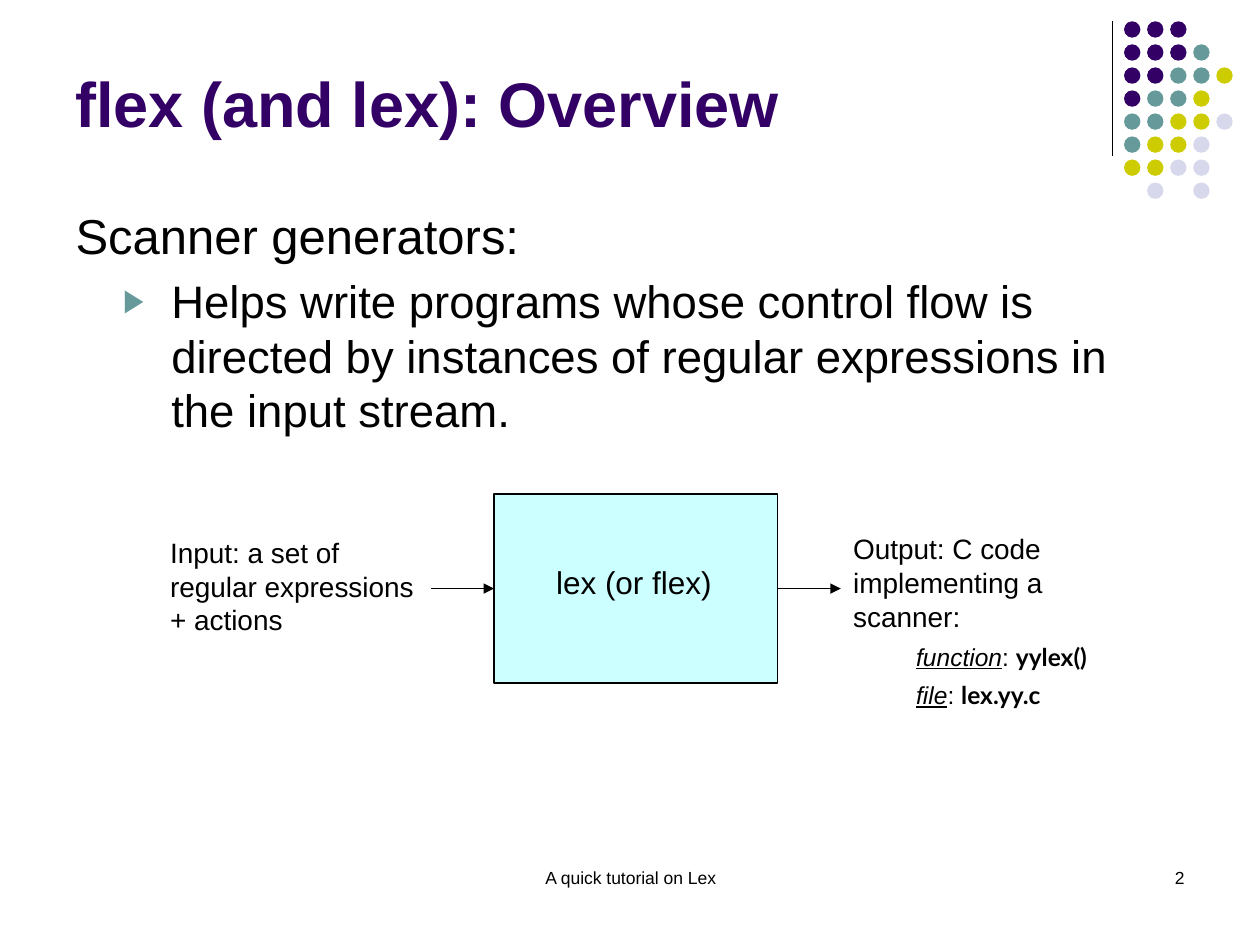
import dataclasses
import pptx
import pptx.util
import pptx.dml.color
import pptx.enum.shapes
import pptx.enum.text
import pptx.oxml
import pptx.oxml.ns
import lxml.etree

Cm = pptx.util.Cm
Pt = pptx.util.Pt
ALIGN = pptx.enum.text.PP_ALIGN
ANCHOR = pptx.enum.text.MSO_ANCHOR
SHAPE = pptx.enum.shapes.MSO_SHAPE
qn = pptx.oxml.ns.qn


@dataclasses.dataclass(frozen=True)
class Theme:
    font: str = "Arial"
    code_font: str = "Lato"
    ink: str = "000000"
    purple: str = "330066"
    teal: str = "669999"
    olive: str = "CCCC00"
    lilac: str = "D8D8EC"
    pale_cyan: str = "CCFFFF"
    title: float = 36
    lead: float = 28
    point: float = 26
    engine: float = 18
    caption: float = 16
    detail: float = 14
    footer: float = 10
    line: float = 0.75


@dataclasses.dataclass(frozen=True)
class Box:
    left: float
    top: float
    width: float
    height: float

    def inner(self, x, y, width, height):
        return Box(self.left + x, self.top + y, width, height)

    def lengths(self):
        return Cm(self.left), Cm(self.top), Cm(self.width), Cm(self.height)


THEME = Theme()


def rgb(value):
    return pptx.dml.color.RGBColor.from_string(value)


def style(run, size, color=THEME.ink, font=THEME.font, bold=False):
    run.font.size = Pt(size)
    run.font.name = font
    run.font.bold = bold
    run.font.color.rgb = rgb(color)


def write(paragraph, text, size, align=ALIGN.LEFT, **look):
    paragraph.text = text
    paragraph.alignment = align
    for run in paragraph.runs:
        style(run, size, **look)


def add_label(slide, box, text, size, align=ALIGN.LEFT, anchor=ANCHOR.TOP):
    frame = slide.shapes.add_textbox(*box.lengths()).text_frame
    frame.word_wrap = True
    frame.vertical_anchor = anchor
    write(frame.paragraphs[0], text, size, align)
    return frame


def add_line(slide, x1, y1, x2, y2, arrow=False):
    line = slide.shapes.add_connector(
        pptx.enum.shapes.MSO_CONNECTOR.STRAIGHT, Cm(x1), Cm(y1), Cm(x2), Cm(y2))
    line.line.color.rgb = rgb(THEME.ink)
    line.line.width = Pt(THEME.line)
    if arrow:
        lxml.etree.SubElement(line.line._get_or_add_ln(), qn("a:tailEnd"), type="triangle")
    lxml.etree.SubElement(line._element.spPr, qn("a:effectLst"))


def place(placeholder, box):
    placeholder.left, placeholder.top, placeholder.width, placeholder.height = box.lengths()
    placeholder.text_frame.auto_size = pptx.enum.text.MSO_AUTO_SIZE.NONE
    return placeholder.text_frame


def set_bullet(paragraph, margin, indent, mark=None):
    properties = paragraph._p.get_or_add_pPr()
    properties.set("marL", str(Cm(margin)))
    properties.set("indent", str(Cm(indent)))
    if mark is None:
        lxml.etree.SubElement(properties, qn("a:buNone"))
        return
    color = lxml.etree.SubElement(properties, qn("a:buClr"))
    lxml.etree.SubElement(color, qn("a:srgbClr"), val=THEME.teal)
    lxml.etree.SubElement(properties, qn("a:buSzPct"), val="70000")
    lxml.etree.SubElement(properties, qn("a:buFont"), typeface=THEME.font)
    lxml.etree.SubElement(properties, qn("a:buChar"), char=mark)


def build_title(slide, box):
    frame = place(slide.shapes.title, box)
    frame.vertical_anchor = ANCHOR.BOTTOM
    write(frame.paragraphs[0], "flex (and lex): Overview", THEME.title,
          color=THEME.purple, bold=True)


def build_body(slide, box):
    frame = place(slide.placeholders[1], box)
    lead = frame.paragraphs[0]
    write(lead, "Scanner generators:", THEME.lead)
    lead.space_before = Pt(THEME.lead * 0.2)
    set_bullet(lead, 0.97, -0.97)
    point = frame.add_paragraph()
    point.level = 1
    write(point, "Helps write programs whose control flow is directed by "
          "instances of regular expressions in the input stream.", THEME.point)
    point.space_before = Pt(THEME.point * 0.2)
    set_bullet(point, 1.93, -0.97, "\u25b6")


def build_dots(slide, box):
    colors = {"p": THEME.purple, "t": THEME.teal, "o": THEME.olive, "l": THEME.lilac}
    rows = ["ppp", "pppt", "pptto", "ptto", "ttool", "tool", "ooll", " l l"]
    size = 0.33
    pitch_x = (box.width - size) / 4
    pitch_y = (box.height - size) / (len(rows) - 1)
    dots = slide.shapes.add_group_shape()
    for row, codes in enumerate(rows):
        for column, code in enumerate(codes):
            if code in colors:
                spot = box.inner(column * pitch_x, row * pitch_y, size, size)
                dot = dots.shapes.add_shape(SHAPE.OVAL, *spot.lengths())
                dot.shadow.inherit = False
                dot.fill.solid()
                dot.fill.fore_color.rgb = rgb(colors[code])
                dot.line.fill.background()
    rule = box.left - 0.23
    add_line(slide, rule, box.top, rule, box.top + 2.72)


def build_output(slide, box):
    frame = add_label(slide, box, "Output: C code implementing a scanner:", THEME.caption)
    for kind, name in (("function", "yylex()"), ("file", "lex.yy.c")):
        detail = frame.add_paragraph()
        detail.level = 1
        detail.line_spacing = 1.3
        set_bullet(detail, 1.27, 0)
        for text in (kind, ": ", name):
            run = detail.add_run()
            run.text = text
            style(run, THEME.detail)
        term, _, code = detail.runs
        term.font.italic = term.font.underline = True
        code.font.name = THEME.code_font
        code.font.bold = True


def build_diagram(slide, box):
    arrow = 1.27
    engine_box = box.inner(6.78, 0, 5.72, box.height)
    engine = slide.shapes.add_shape(SHAPE.RECTANGLE, *engine_box.lengths())
    engine.shadow.inherit = False
    engine.fill.solid()
    engine.fill.fore_color.rgb = rgb(THEME.pale_cyan)
    engine.line.color.rgb = rgb(THEME.ink)
    engine.line.width = Pt(THEME.line)
    add_label(slide, engine_box.inner(0.84, 1.27, 3.96, 1.02), "lex (or flex)",
              THEME.engine, ALIGN.CENTER, ANCHOR.MIDDLE)
    add_label(slide, box.inner(0, 0.71, 5.54, 2.29),
              "Input: a set of regular expressions + actions", THEME.caption)
    build_output(slide, box.inner(13.77, 0.64, 5.97, 3.84))
    middle = box.top + box.height / 2
    for start in (engine_box.left - arrow, engine_box.left + engine_box.width):
        add_line(slide, start, middle, start + arrow, middle, arrow=True)


def build_footer(slide, box):
    add_label(slide, box.inner(7.42, 0, 8.05, box.height),
              "A quick tutorial on Lex", THEME.footer, ALIGN.CENTER)
    add_label(slide, box.inner(box.width - 5.92, 0, 5.92, box.height),
              "2", THEME.footer, ALIGN.RIGHT)


def build_overview(deck):
    slide = deck.slides.add_slide(deck.slide_layouts[1])
    build_dots(slide, Box(22.66, 0.43, 2.19, 3.58))
    build_footer(slide, Box(1.27, 17.35, 22.86, 1.27))
    build_title(slide, Box(1.27, 0.33, 20.96, 2.62))
    build_body(slide, Box(1.27, 4.01, 22.86, 13))
    build_diagram(slide, Box(3.18, 9.96, 19.74, 3.81))


deck = pptx.Presentation()
deck.slide_width, deck.slide_height = Cm(25.4), Cm(19.05)
build_overview(deck)
deck.save("out.pptx")
